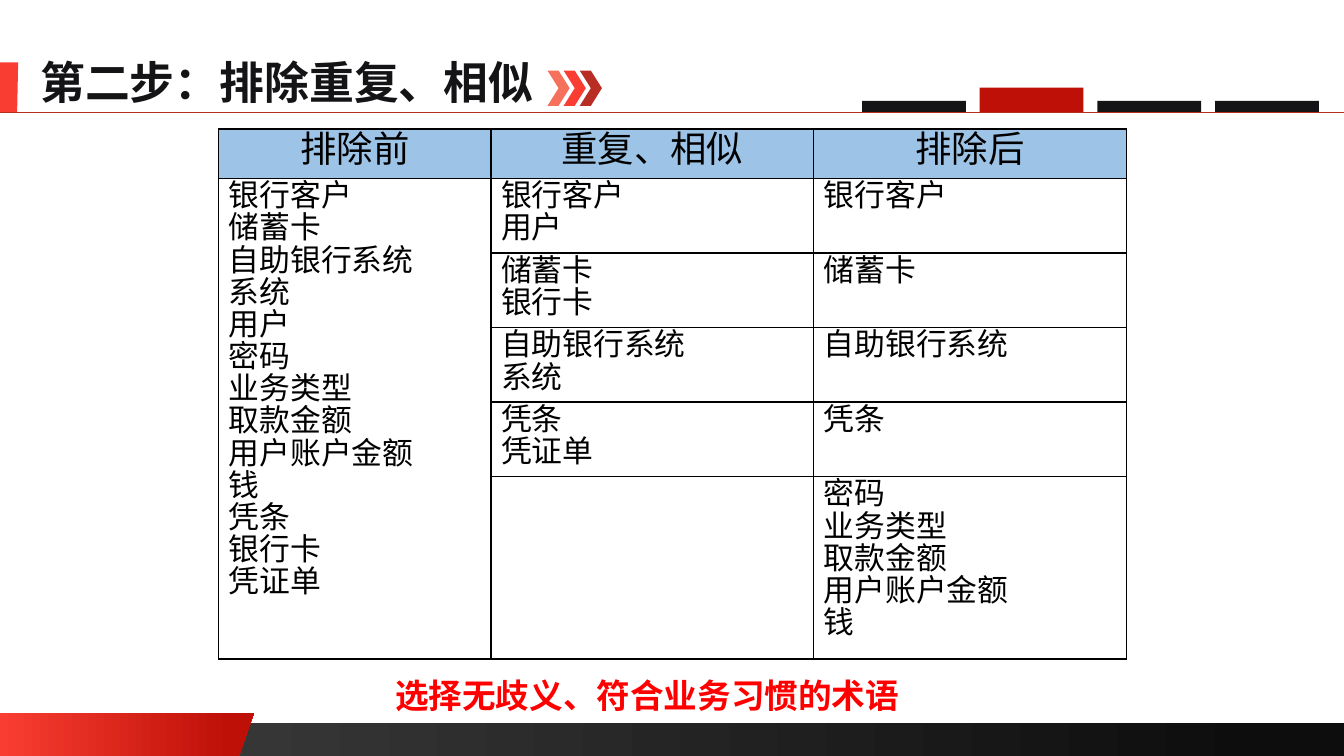
from lxml import etree
from pptx import Presentation
from pptx.dml.color import RGBColor
from pptx.enum import shapes, text
from pptx.oxml import ns
from pptx.util import Inches, Pt

FONT = "Noto Sans CJK SC"
BLACK = RGBColor(0, 0, 0)
INK = RGBColor(0x14, 0x13, 0x16)
CHARCOAL = RGBColor(0x40, 0x40, 0x40)
NIGHT = RGBColor(0x0D, 0x0D, 0x0D)
CORAL = RGBColor(0xF5, 0x71, 0x5B)
RED = RGBColor(0xF9, 0x3D, 0x32)
BRICK = RGBColor(0xB8, 0x2E, 0x24)
DEEP = RGBColor(0xBE, 0x10, 0x07)
ALERT = RGBColor(0xFF, 0, 0)
SKY = RGBColor(0x9D, 0xC3, 0xE6)

HEADS = ["排除前", "重复、相似", "排除后"]
TERMS = ["银行客户", "储蓄卡", "自助银行系统", "系统", "用户", "密码", "业务类型",
         "取款金额", "用户账户金额", "钱", "凭条", "银行卡", "凭证单"]
PAIRS = [["银行客户", "用户"], ["储蓄卡", "银行卡"],
         ["自助银行系统", "系统"], ["凭条", "凭证单"]]
REST = ["密码", "业务类型", "取款金额", "用户账户金额", "钱"]
COLS = [2.7, 3.2, 3.1]
ROWS = [0.49] + [0.74] * 4 + [1.81]


def box(left, top, width, height):
    return [Inches(v) for v in (left, top, width, height)]


def write(frame, lines, size, color, bold=False, **form):
    """Put one paragraph per line into the frame; form holds paragraph settings."""
    for i, line in enumerate(lines):
        para = frame.paragraphs[0] if i == 0 else frame.add_paragraph()
        for key, value in form.items():
            setattr(para, key, value)
        run = para.add_run()
        run.text = line
        for key, value in {"name": FONT, "size": Pt(size), "bold": bold}.items():
            setattr(run.font, key, value)
        run.font.color.rgb = color
        east = etree.SubElement(run.font._element, ns.qn("a:ea"))
        east.set("typeface", FONT)


def paint(shape, *colors, stop=1.0):
    """Fill with one colour, or with a left-to-right gradient of two."""
    shape.shadow.inherit = False
    shape.line.fill.background()
    if len(colors) == 1:
        shape.fill.solid()
        shape.fill.fore_color.rgb = colors[0]
        return
    shape.fill.gradient()
    shape.fill.gradient_angle = 0
    for mark, color, place in zip(shape.fill.gradient_stops, colors, (0, stop)):
        mark.color.rgb = color
        mark.position = place


def add_shape(parent, kind, place, *colors, stop=1.0):
    paint(parent.add_shape(kind, *box(*place)), *colors, stop=stop)


def add_wedge(parent, points, *colors, stop=1.0):
    dots = [(Inches(x), Inches(y)) for x, y in points]
    maker = parent.build_freeform(*dots[0], scale=1.0)
    maker.add_line_segments(dots[1:], close=True)
    paint(maker.convert_to_shape(), *colors, stop=stop)


def add_rule(parent, y, color):
    line = parent.add_connector(shapes.MSO_CONNECTOR.STRAIGHT,
                                0, Inches(y), Inches(13.33), Inches(y))
    line.line.color.rgb = color
    line.line.width = Pt(0.5)
    etree.SubElement(line._element.spPr, ns.qn("a:effectLst"))


def set_frame(shape, place):
    for key, value in zip(("left", "top", "width", "height"), box(*place)):
        setattr(shape, key, value)
    form = {"word_wrap": False, "auto_size": text.MSO_AUTO_SIZE.NONE,
            "vertical_anchor": text.MSO_ANCHOR.TOP}
    for key, value in form.items():
        setattr(shape.text_frame, key, value)
    return shape.text_frame


def edge(cell):
    """Draw a thin black border on all four sides of the cell."""
    props = cell._tc.get_or_add_tcPr()
    for i, side in enumerate("LRTB"):
        line = etree.Element(ns.qn("a:ln" + side), w=str(Pt(1)))
        fill = etree.SubElement(line, ns.qn("a:solidFill"))
        etree.SubElement(fill, ns.qn("a:srgbClr"), val=str(BLACK))
        props.insert(i, line)


def add_terms(parent):
    place = box(2.17, 1.28, sum(COLS), sum(ROWS))
    table = parent.add_table(len(ROWS), len(COLS), *place).table
    table.first_row = table.horz_banding = False
    for col, width in zip(table.columns, COLS):
        col.width = Inches(width)
    for row, height in zip(table.rows, ROWS):
        row.height = Inches(height)
    for cell in table.iter_cells():
        cell.fill.background()
        edge(cell)
    table.cell(1, 0).merge(table.cell(5, 0))

    for i, head in enumerate(HEADS):
        cell = table.cell(0, i)
        cell.fill.solid()
        cell.fill.fore_color.rgb = SKY
        write(cell.text_frame, [head], 26, BLACK,
              alignment=text.PP_ALIGN.CENTER, line_spacing=Pt(28))
    body = {(1, 0): TERMS, (5, 2): REST}
    for i, pair in enumerate(PAIRS, 1):
        body[i, 1] = pair
        body[i, 2] = pair[:1]
    for spot, lines in body.items():
        write(table.cell(*spot).text_frame, lines, 22, BLACK, line_spacing=Pt(23))


def add_tabs(parent):
    for i in range(4):
        high, color = (0.24, DEEP) if i == 1 else (0.11, INK)
        add_shape(parent, shapes.MSO_SHAPE.RECTANGLE,
                  (8.55 + i * 1.167, 1.11 - high, 1.03, high), color)


def add_arrows(parent):
    group = parent.add_group_shape()
    for i, color in enumerate((CORAL, RED, BRICK)):
        add_shape(group.shapes, shapes.MSO_SHAPE.CHEVRON,
                  (5.43 + i * 0.16, 0.7, 0.22, 0.35), color)


def main():
    deck = Presentation()
    deck.slide_width, deck.slide_height = Inches(13.33), Inches(7.5)
    slide = deck.slides.add_slide(deck.slide_layouts[5])
    parts = slide.shapes

    add_shape(parts, shapes.MSO_SHAPE.RECTANGLE, (0, 7.17, 13.33, 0.33),
              CHARCOAL, NIGHT, stop=0.94)
    add_wedge(parts, [(0, 7.07), (2.52, 7.07), (2.37, 7.5), (0, 7.5)],
              RED, DEEP, stop=0.91)
    add_wedge(parts, [(0, 0.62), (0.18, 0.62), (0.17, 1.12), (0, 1.12)], RED)
    add_terms(parts)

    note = parts.add_textbox(0, 0, 0, 0)
    write(set_frame(note, (3.82, 6.65, 5.25, 0.5)),
          ["选择无歧义、符合业务习惯的术语"], 24, ALERT, True)
    write(set_frame(parts.title, (0.3, 0.49, 5.14, 0.64)),
          ["第二步：排除重复、相似"], 32, INK, True, alignment=text.PP_ALIGN.LEFT)

    add_rule(parts, 1.11, BRICK)
    add_tabs(parts)
    add_arrows(parts)
    deck.save("out.pptx")


if __name__ == "__main__":
    main()
